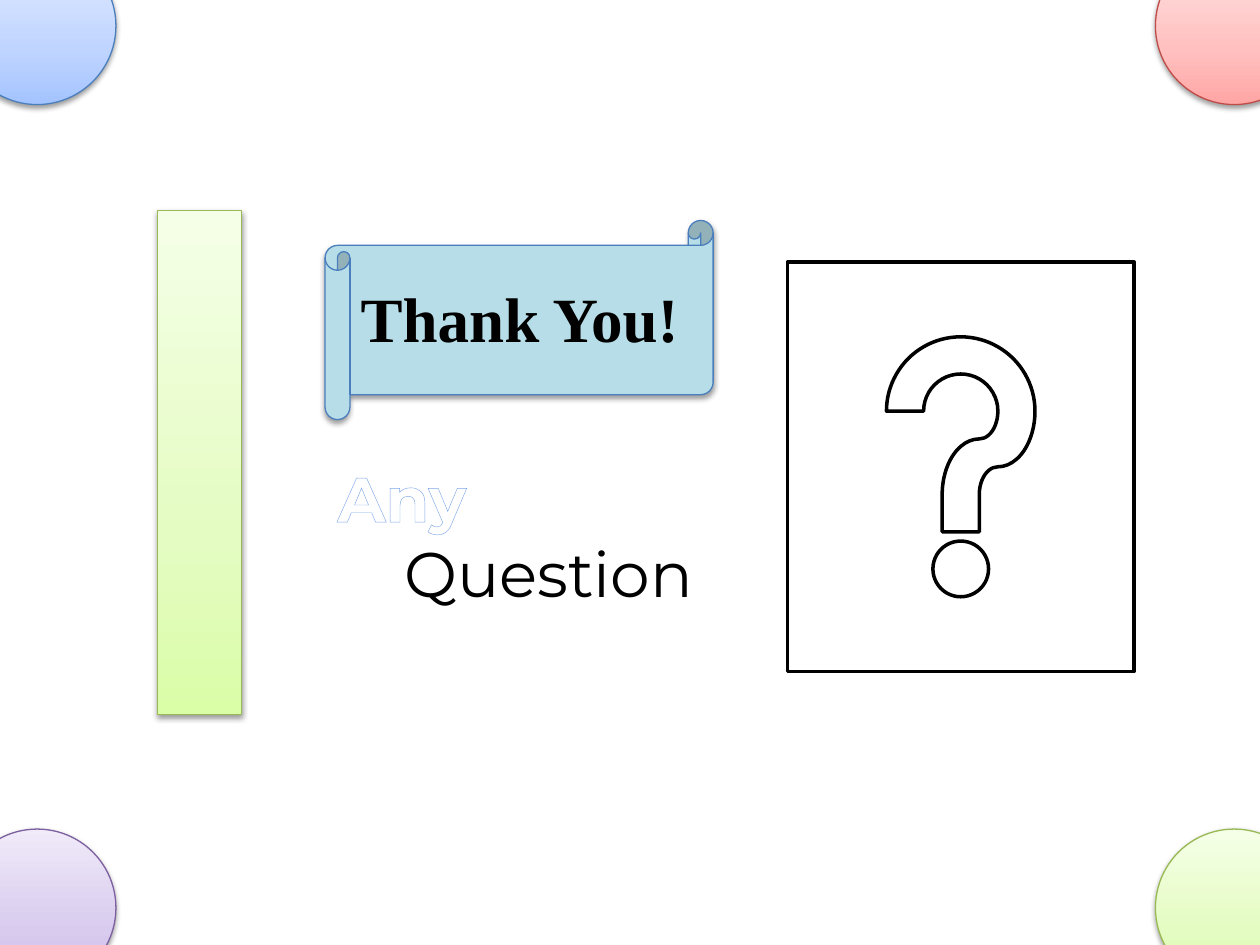
from lxml.etree import SubElement
from pptx import Presentation
from pptx.dml.color import RGBColor
from pptx.enum.shapes import MSO_SHAPE as Kind
from pptx.enum.text import MSO_ANCHOR, MSO_AUTO_SIZE, PP_ALIGN
from pptx.oxml import parse_xml
from pptx.oxml.ns import nsdecls, qn
from pptx.util import Inches, Pt

THEME = {
    "ink": "000000", "paper": "FFFFFF", "scroll": "B7DEE8", "glow": "7EA6EA",
    # tint: line colour, then gradient stops from bottom to top
    "blue": ("4B7EBC", "A4C4FF", "BFD4FF", "E6EEFF"),
    "red": ("BF4C48", "FFA6A5", "FFC0BF", "FFE7E7"),
    "purple": ("7D60A0", "C9B5E8", "D8CBEE", "F0EAF9"),
    "green": ("98B955", "DAFDA7", "E4FCC2", "F5FFE7"),
    "size": 36, "sans": "Montserrat", "serif": "Times New Roman",
}
STOPS = (0, 35, 100)

# Content
TITLE = "Thank You!"
ASK = [("Any", 0), ("Question", 0.53)]  # text, left indent
BAR = (1.25, 1.67, 0.67, 4)
PANEL = (2.58, 2.58, 5.08, 3.33)
HELP = (6.25, 2.08, 2.75, 3.25)
SCROLL = (2.58, 1.75, 3.08, 1.58)
LABEL = (2.75, 2.17, 2.75, 0.71)
DISC = 1.25
LEFTS, TOPS = (-0.33, 9.17), (-0.42, 6.58)
DISCS = [("blue", "red"), ("purple", "green")]

deck = Presentation()
deck.slide_width, deck.slide_height = Inches(10), Inches(7.5)
slide = deck.slides.add_slide(deck.slide_layouts[6])


def rgb(code):
    return RGBColor.from_string(code)


def add(kind, box, fill=None, line=None, width=0.75):
    shape = slide.shapes.add_shape(kind, *map(Inches, box))
    shape.shadow.inherit = False
    if fill:
        shape.fill.solid()
        shape.fill.fore_color.rgb = rgb(fill)
    else:
        shape.fill.background()
    if line:
        shape.line.color.rgb = rgb(line)
        shape.line.width = Pt(width)
    else:
        shape.line.fill.background()
    return shape


def shade(shape):
    """Soft shadow falling straight down."""
    effects = shape._element.spPr.find(qn("a:effectLst"))
    effects.append(parse_xml(
        f'<a:outerShdw {nsdecls("a")} blurRad="{Pt(3.1)}" dist="{Pt(1.6)}" '
        'dir="5400000" rotWithShape="0"><a:srgbClr val="000000">'
        '<a:alpha val="38000"/></a:srgbClr></a:outerShdw>'))


def tinted(kind, box, name):
    line, *tones = THEME[name]
    shape = add(kind, box, line=line)
    stops = "".join(
        f'<a:gs pos="{stop * 1000}"><a:srgbClr val="{tone}"/></a:gs>'
        for stop, tone in zip(STOPS, tones))
    props = shape._element.spPr
    props.replace(props.find(qn("a:noFill")), parse_xml(
        f'<a:gradFill {nsdecls("a")} rotWithShape="1"><a:gsLst>{stops}</a:gsLst>'
        '<a:lin ang="16200000" scaled="0"/></a:gradFill>'))
    shade(shape)


def write(para, text, face, color, bold):
    run = para.add_run()
    run.text = text
    run.font.name, run.font.size, run.font.bold = face, Pt(THEME["size"]), bold
    run.font.color.rgb = rgb(color)
    return run


# Side bar
tinted(Kind.RECTANGLE, BAR, "green")

# Question panel: outlined first line, plain indented second line
frame = add(Kind.RECTANGLE, PANEL, THEME["paper"]).text_frame
frame.word_wrap = True
frame.vertical_anchor = MSO_ANCHOR.MIDDLE
for i, (text, indent) in enumerate(ASK):
    para = frame.add_paragraph() if i else frame.paragraphs[0]
    para.alignment = PP_ALIGN.JUSTIFY
    para._p.get_or_add_pPr().set("marL", str(Inches(indent)))
    run = write(para, text, THEME["sans"], THEME["ink" if i else "paper"], not i)
    if not i:
        edge = parse_xml(f'<a:ln {nsdecls("a")} w="{Pt(2.48)}"/>')
        fill = SubElement(edge, qn("a:solidFill"))
        SubElement(fill, qn("a:srgbClr")).set("val", THEME["glow"])
        run.font._element.insert(0, edge)

# Question mark button
add(Kind.ACTION_BUTTON_HELP, HELP, line=THEME["ink"], width=2)

# Scroll and its title
shade(add(Kind.HORIZONTAL_SCROLL, SCROLL, THEME["scroll"], THEME["blue"][0]))
frame = slide.shapes.add_textbox(*map(Inches, LABEL)).text_frame
frame.word_wrap = True
frame.auto_size = MSO_AUTO_SIZE.SHAPE_TO_FIT_TEXT
frame.paragraphs[0].alignment = PP_ALIGN.CENTER
write(frame.paragraphs[0], TITLE, THEME["serif"], THEME["ink"], True)

# Corner discs
for top, row in zip(TOPS, DISCS):
    for left, name in zip(LEFTS, row):
        tinted(Kind.OVAL, (left, top, DISC, DISC), name)

deck.save("out.pptx")
